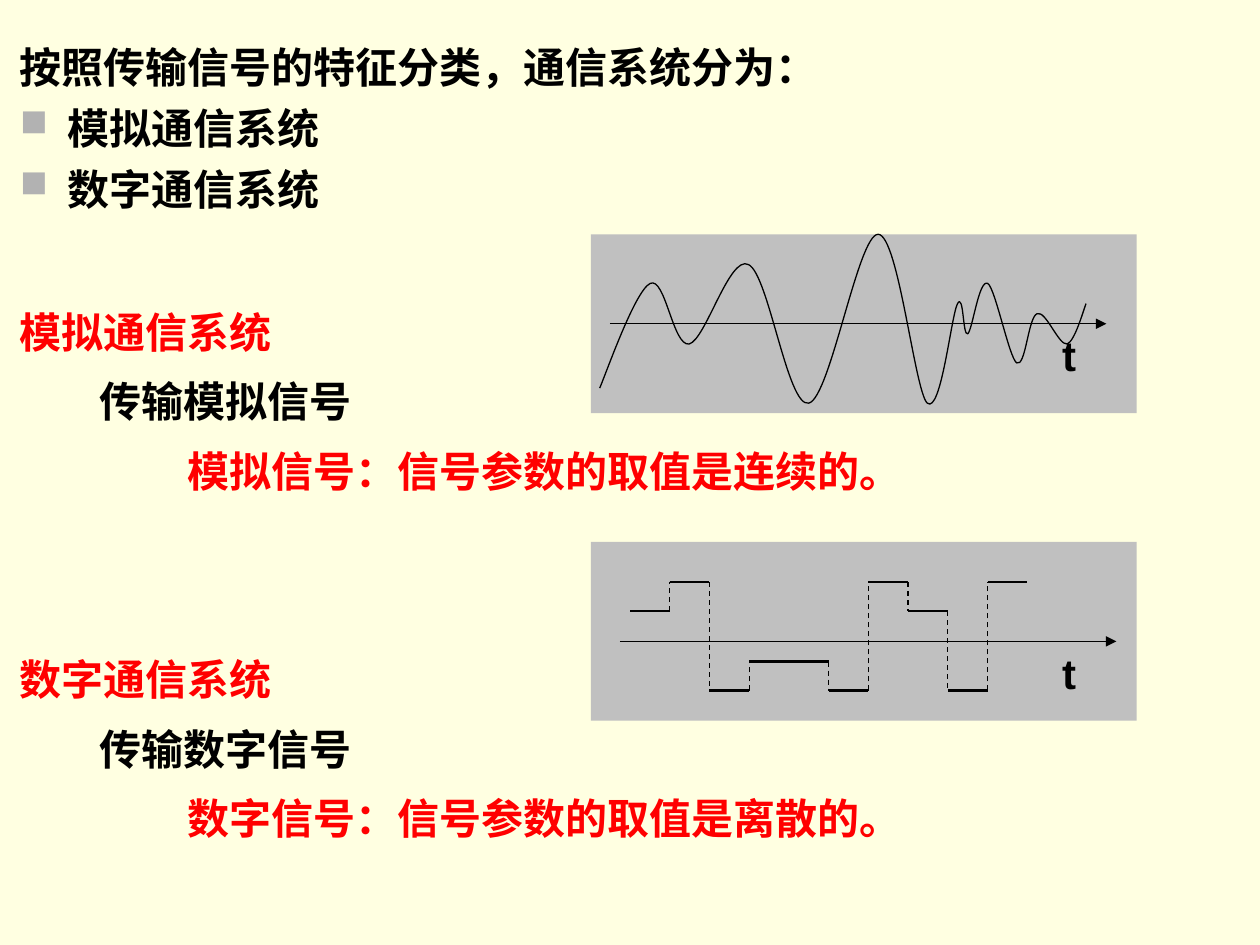
from itertools import pairwise

from lxml.etree import SubElement
from pptx import Presentation
from pptx.dml.color import RGBColor
from pptx.enum.dml import MSO_LINE
from pptx.enum.shapes import MSO_CONNECTOR, MSO_SHAPE
from pptx.oxml.ns import qn
from pptx.util import Pt

CREAM = RGBColor(0xFF, 0xFF, 0xE1)
BLACK = RGBColor(0x00, 0x00, 0x00)
RED = RGBColor(0xFF, 0x00, 0x00)
PANEL_GRAY = RGBColor(0xC0, 0xC0, 0xC0)
BULLET_GRAY = RGBColor(0xB2, 0xB2, 0xB2)

PANEL_LEFT = 337.7
ANALOG_TOP, DIGITAL_TOP = 133.9, 309.6

WAVE_START = (342.7, 221.8)
WAVE_CURVES = [
    [(347, 211.7), (362.9, 166.3), (371.5, 162)],
    [(380.2, 157.7), (384.5, 198), (393.8, 196.6)],
    [(403.2, 194.4), (416.9, 145.4), (427.7, 151.2)],
    [(439.2, 156.2), (450, 233.3), (462.2, 230.4)],
    [(474.5, 227.5), (490.3, 133.9), (501.8, 133.9)],
    [(513.4, 133.9), (522.7, 223.9), (529.9, 230.4)],
    [(537.8, 236.9), (543.6, 180), (547.2, 173.5)],
    [(550.8, 167), (550.1, 192.2), (553, 190.8)],
    [(555.8, 188.6), (559.4, 159.1), (564.5, 162)],
    [(568.8, 164.9), (576.7, 204.5), (581, 207.4)],
    [(586.1, 210.2), (587.5, 181.4), (592.6, 179.3)],
    [(597.6, 177.1), (604.8, 197.3), (609.8, 196.6)],
    [(614.2, 195.1), (619.2, 177.1), (620.6, 173.5)],
]

HIGH, MID_HIGH, MID_LOW, LOW = 332.6, 349.2, 378, 394.6
SIGNAL_LEVELS = [MID_HIGH, HIGH, LOW, MID_LOW, MID_LOW,
                 LOW, HIGH, MID_HIGH, LOW, HIGH]
SIGNAL_LEFT, SYMBOL_WIDTH = 360, 22.7


def add_bullet(paragraph):
    """Give a paragraph a small grey square and a hanging indent."""
    properties = paragraph._p.get_or_add_pPr()
    properties.set("marL", str(Pt(27)))
    properties.set("indent", str(-Pt(27)))
    color = SubElement(properties, qn("a:buClr"))
    SubElement(color, qn("a:srgbClr"), val=str(BULLET_GRAY))
    SubElement(properties, qn("a:buSzPct"), val="90000")
    SubElement(properties, qn("a:buChar"), char="■")


def add_text(slide, left, top, width, lines, color=BLACK):
    """Add bold text whose lines after the first are bulleted."""
    height = 36 + 35 * (len(lines) - 1)
    frame = slide.shapes.add_textbox(Pt(left), Pt(top), Pt(width), Pt(height)).text_frame
    frame.word_wrap = True
    for index, line in enumerate(lines):
        paragraph = frame.add_paragraph() if index else frame.paragraphs[0]
        paragraph.text = line
        if index:
            paragraph.space_before = Pt(6)
            add_bullet(paragraph)
        paragraph.font.name = "Arial"
        paragraph.font.size = Pt(24)
        paragraph.font.bold = True
        paragraph.font.color.rgb = color


def add_line(slide, start, end, weight=0.75, dashed=False, arrow=False):
    """Add a straight black line between two points."""
    line = slide.shapes.add_connector(MSO_CONNECTOR.STRAIGHT, *map(Pt, start + end))
    line.line.color.rgb = BLACK
    line.line.width = Pt(weight)
    if dashed:
        line.line.dash_style = MSO_LINE.DASH
    if arrow:
        SubElement(line.line._get_or_add_ln(), qn("a:tailEnd"), type="triangle")
    SubElement(line._element.spPr, qn("a:effectLst"))


def add_panel(slide, top):
    """Add a grey plot background."""
    panel = slide.shapes.add_shape(
        MSO_SHAPE.RECTANGLE, Pt(PANEL_LEFT), Pt(top), Pt(311.8), Pt(102.2))
    panel.shadow.inherit = False
    panel.fill.solid()
    panel.fill.fore_color.rgb = PANEL_GRAY
    panel.line.fill.background()


def add_time_axis(slide, left, y):
    """Add a time axis with its label."""
    add_line(slide, (left, y), (left + 283.7, y), arrow=True)
    add_text(slide, 599.8, y, 76, ["t"])


def add_wave(slide):
    """Add the analog signal as a chain of cubic curves."""
    builder = slide.shapes.build_freeform(*map(Pt, WAVE_START), scale=1)
    points = [(Pt(x), Pt(y)) for curve in WAVE_CURVES for x, y in curve]
    builder.add_line_segments(points, close=False)
    wave = builder.convert_to_shape()
    outline = wave._element.find(".//" + qn("a:path"))
    segments = outline.findall(qn("a:lnTo"))
    for first in range(0, len(segments), 3):
        curve = SubElement(outline, qn("a:cubicBezTo"))
        for segment in segments[first:first + 3]:
            curve.append(segment[0])
            outline.remove(segment)
    wave.shadow.inherit = False
    wave.fill.background()
    wave.line.color.rgb = BLACK
    wave.line.width = Pt(0.75)


def add_digital_signal(slide):
    """Add one bar per symbol and a dashed riser at each level change."""
    edges = [SIGNAL_LEFT + SYMBOL_WIDTH * n for n in range(len(SIGNAL_LEVELS) + 1)]
    for (left, right), level in zip(pairwise(edges), SIGNAL_LEVELS):
        add_line(slide, (left, level), (right, level), weight=1.5)
    for edge, (before, after) in zip(edges[1:], pairwise(SIGNAL_LEVELS)):
        if before != after:
            add_line(slide, (edge, before), (edge, after), dashed=True)


def add_system(slide, top, system, purpose, definition):
    """Add the three stepped lines describing one kind of system."""
    add_text(slide, 4.3, top, 212.4, [system], RED)
    add_text(slide, 49.7, top + 39.7, 212.4, [purpose])
    add_text(slide, 100.1, top + 79.5, 476, [definition], RED)


def main():
    """Build and save the slide."""
    presentation = Presentation()
    presentation.slide_width, presentation.slide_height = Pt(720), Pt(540)
    slide = presentation.slides.add_slide(presentation.slide_layouts[6])
    slide.background.fill.solid()
    slide.background.fill.fore_color.rgb = CREAM

    add_text(slide, 4.3, 20.2, 524, [
        "按照传输信号的特征分类，通信系统分为：", "模拟通信系统", "数字通信系统"])
    add_system(slide, 171.4, "模拟通信系统", "传输模拟信号",
               "模拟信号：信号参数的取值是连续的。")
    add_system(slide, 370.1, "数字通信系统", "传输数字信号",
               "数字信号：信号参数的取值是离散的。")

    add_panel(slide, ANALOG_TOP)
    add_time_axis(slide, 348.5, ANALOG_TOP + 51.1)
    add_wave(slide)
    add_panel(slide, DIGITAL_TOP)
    add_time_axis(slide, 354.2, DIGITAL_TOP + 56.9)
    add_digital_signal(slide)

    presentation.save("out.pptx")


if __name__ == "__main__":
    main()
